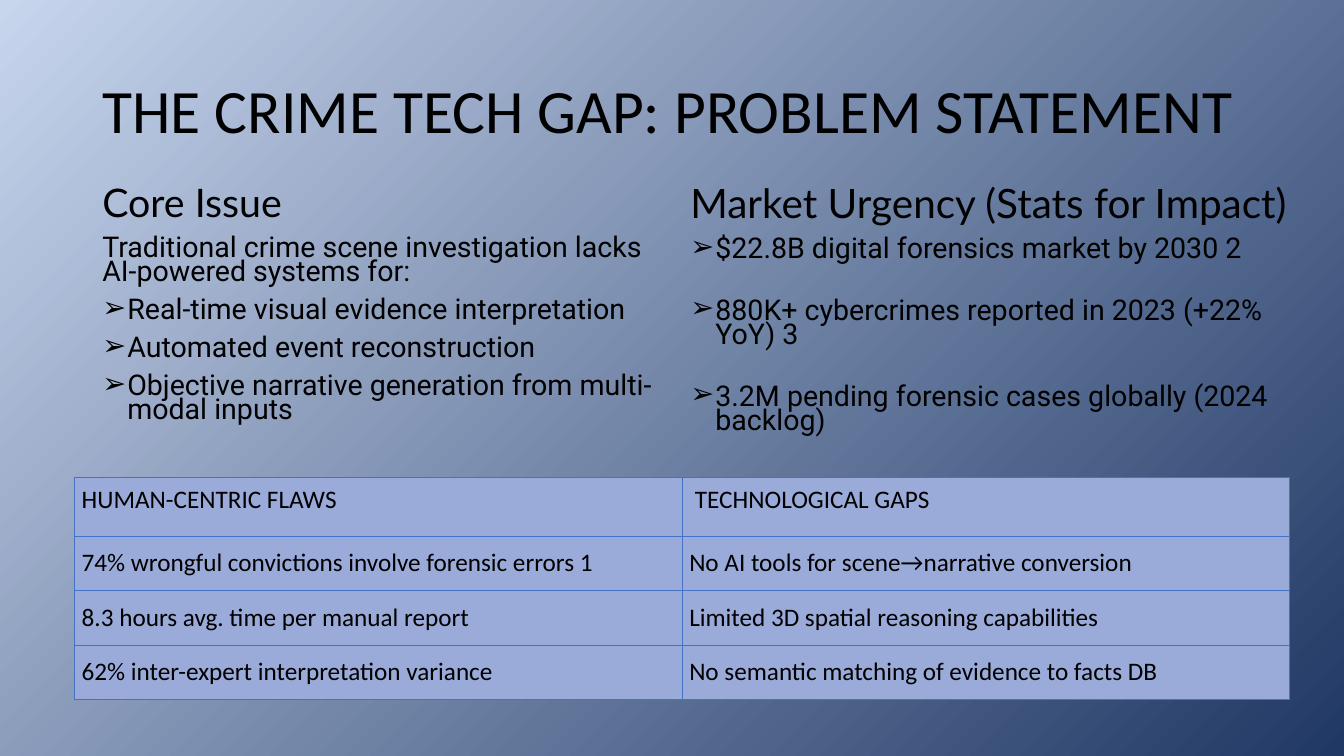
from dataclasses import dataclass

import pptx
import pptx.dml.color
import pptx.enum.text
import pptx.oxml
import pptx.oxml.ns
import pptx.util
from pptx.util import Cm

ANCHOR = pptx.enum.text.MSO_ANCHOR
A_NS = pptx.oxml.ns.nsdecls("a")


@dataclass(frozen=True)
class Theme:
    text: str = "000000"
    sky: str = "C7D5ED"
    navy: str = "203864"
    cell: str = "9AAAD9"
    border: str = "4472C4"
    main_font: str = "Calibri"
    heading_font: str = "Lato"
    body_font: str = "Roboto"
    title_size: float = 44
    issue_size: float = 28.1
    urgency_size: float = 28.9
    body_size: float = 20.4
    table_size: float = 18
    border_width: float = 0.5


THEME = Theme()

CORE_ISSUES = [
    "Real-time visual evidence interpretation",
    "Automated event reconstruction",
    "Objective narrative generation from multi-modal inputs",
]
MARKET_STATS = [
    "$22.8B digital forensics market by 2030 2",
    "880K+ cybercrimes reported in 2023 (+22% YoY) 3",
    "3.2M pending forensic cases globally (2024 backlog)",
]
GAP_ROWS = [
    ("HUMAN-CENTRIC FLAWS", " TECHNOLOGICAL GAPS"),
    ("74% wrongful convictions involve forensic errors 1",
     "No AI tools for scene→narrative conversion"),
    ("8.3 hours avg. time per manual report",
     "Limited 3D spatial reasoning capabilities"),
    ("62% inter-expert interpretation variance",
     "No semantic matching of evidence to facts DB"),
]


def rgb(code):
    return pptx.dml.color.RGBColor.from_string(code)


def apply(target, values):
    for name, value in values.items():
        setattr(target, name, value)


def style_font(paragraph, name, size):
    apply(paragraph.font, {"name": name, "size": pptx.util.Pt(size), "bold": False})
    paragraph.font.color.rgb = rgb(THEME.text)


def paint_background(slide):
    fill = slide.background.fill
    fill.gradient()
    fill.gradient_angle = 315
    for stop, code in zip(fill.gradient_stops, (THEME.sky, THEME.navy)):
        stop.color.rgb = rgb(code)


def set_title(slide, wording):
    title = slide.shapes.title
    apply(title, {"left": Cm(2.33), "top": Cm(1.01),
                  "width": Cm(29.21), "height": Cm(3.68)})
    apply(title.text_frame, {"text": wording, "word_wrap": True,
                             "vertical_anchor": ANCHOR.MIDDLE})
    heading = title.text_frame.paragraphs[0]
    apply(heading, {"alignment": pptx.enum.text.PP_ALIGN.LEFT, "line_spacing": 0.9})
    style_font(heading, THEME.main_font, THEME.title_size)


def add_arrow_bullet(paragraph):
    properties = paragraph._p.get_or_add_pPr()
    properties.set("marL", str(Cm(0.63)))
    properties.set("indent", str(-Cm(0.63)))
    properties.append(pptx.oxml.parse_xml(f'<a:buFont {A_NS} typeface="Arial"/>'))
    properties.append(pptx.oxml.parse_xml(f'<a:buChar {A_NS} char="➢"/>'))


def add_column(slide, left, width, heading, heading_size, points, intro=None, gap=10):
    """Heading, optional intro line, then bulleted points set gap points apart."""
    frame = slide.shapes.add_textbox(left, Cm(4.7), width, Cm(7.16)).text_frame
    apply(frame, {"word_wrap": True, "margin_right": 0})

    lines = [(heading, THEME.heading_font, heading_size, 0, False)]
    if intro:
        lines.append((intro, THEME.body_font, THEME.body_size, 10, False))
    for index, point in enumerate(points):
        lines.append((point, THEME.body_font, THEME.body_size,
                      gap if index else 10, True))

    for index, (wording, font, size, before, bulleted) in enumerate(lines):
        paragraph = frame.add_paragraph() if index else frame.paragraphs[0]
        if bulleted:
            add_arrow_bullet(paragraph)
        paragraph.text = wording
        apply(paragraph, {"line_spacing": 0.7, "space_before": pptx.util.Pt(before)})
        style_font(paragraph, font, size)


def outline_cell(cell):
    properties = cell._tc.get_or_add_tcPr()
    for index, side in enumerate(("lnL", "lnR", "lnT", "lnB")):
        properties.insert(index, pptx.oxml.parse_xml(
            f'<a:{side} {A_NS} w="{pptx.util.Pt(THEME.border_width)}"><a:solidFill>'
            f'<a:srgbClr val="{THEME.border}"/></a:solidFill></a:{side}>'))


def add_gap_table(slide, rows):
    table = slide.shapes.add_table(len(rows), len(rows[0]), Cm(1.88), Cm(12.04),
                                   Cm(30.62), Cm(5.58)).table
    for row_index, row in enumerate(rows):
        is_header = row_index == 0
        table.rows[row_index].height = Cm(1.47 if is_header else 1.37)
        vertical = Cm(0.18 if is_header else 0.13)
        for column_index, wording in enumerate(row):
            cell = table.cell(row_index, column_index)
            apply(cell, {"text": wording,
                         "margin_left": Cm(0.18), "margin_right": Cm(0.18),
                         "margin_top": vertical, "margin_bottom": vertical,
                         "vertical_anchor": ANCHOR.TOP if is_header else ANCHOR.MIDDLE})
            cell.fill.solid()
            cell.fill.fore_color.rgb = rgb(THEME.cell)
            outline_cell(cell)
            style_font(cell.text_frame.paragraphs[0], THEME.main_font, THEME.table_size)


def main():
    deck = pptx.Presentation()
    apply(deck, {"slide_width": Cm(33.87), "slide_height": Cm(19.05)})
    slide = deck.slides.add_slide(deck.slide_layouts[5])

    # Background and title
    paint_background(slide)
    set_title(slide, "THE CRIME TECH GAP: PROBLEM STATEMENT")

    # Problem and market columns
    add_column(slide, Cm(2.33), Cm(14.4), "Core Issue", THEME.issue_size, CORE_ISSUES,
               intro="Traditional crime scene investigation lacks AI-powered systems for:")
    add_column(slide, Cm(17.15), Cm(15.54), "Market Urgency (Stats for Impact)",
               THEME.urgency_size, MARKET_STATS, gap=27)

    # Flaws and gaps table
    add_gap_table(slide, GAP_ROWS)
    deck.save("out.pptx")


if __name__ == "__main__":
    main()
